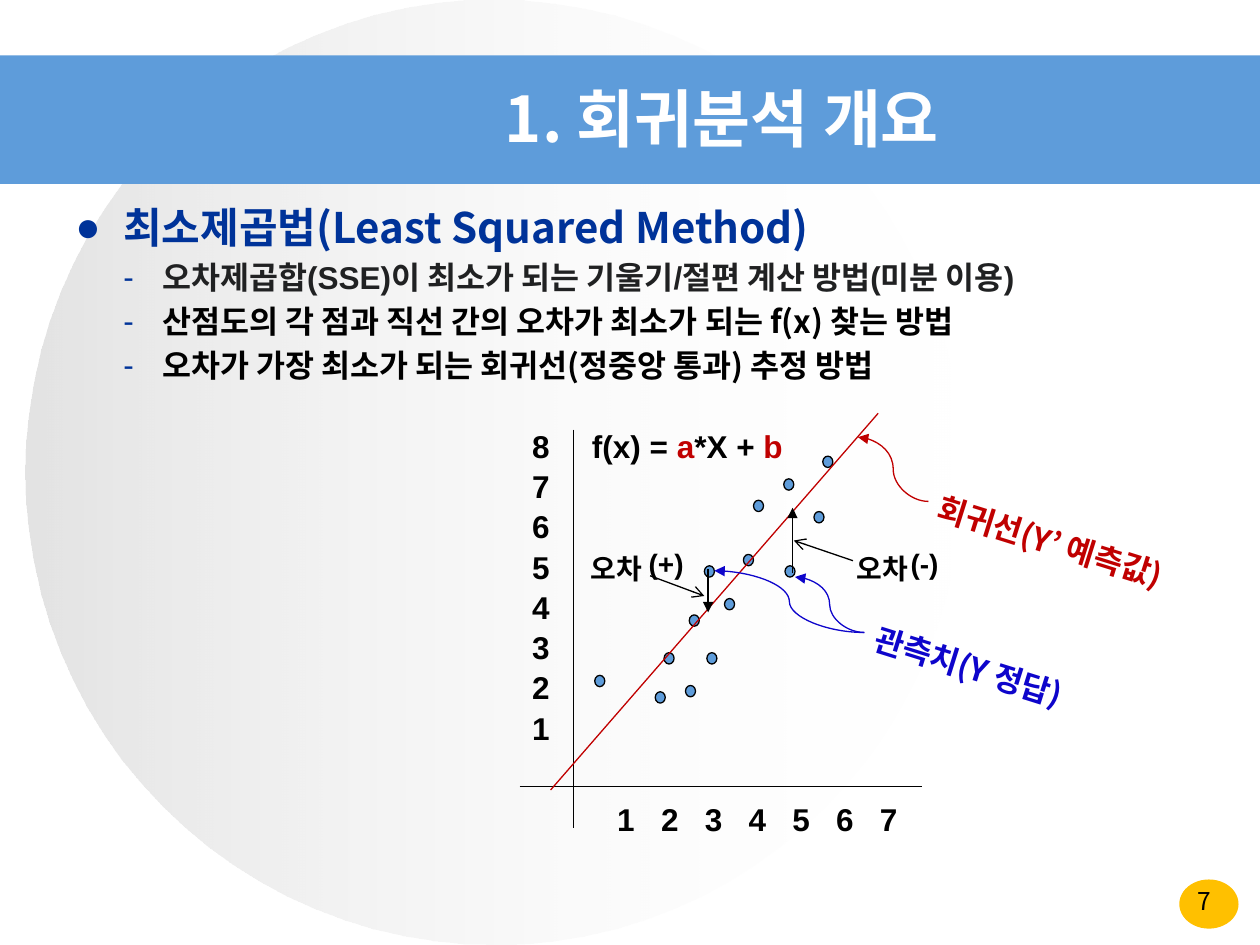
from lxml.etree import SubElement
from pptx import Presentation
from pptx.dml.color import RGBColor
from pptx.enum.shapes import MSO_CONNECTOR as LINK, MSO_SHAPE as SHAPE
from pptx.enum.text import MSO_ANCHOR, PP_ALIGN
from pptx.oxml.ns import qn
from pptx.util import Inches, Pt

HUES = {"blue": "5E9CDA", "navy": "003399", "ink": "000000", "dark": "202122",
        "red": "C00000", "link": "0E05CB", "gold": "FFC000", "white": "FFFFFF",
        "gray": "C0C0C0"}
CJK, SANS = "Noto Sans CJK KR", "Arial"
COLS, ROWS = 40, 30
CELL = 0.25


def cell(num):
    return Inches(num * CELL)


def place(box, left, top, wide, high):
    """Shift a cell area by the corner of a box."""
    return box[0] + left, box[1] + top, wide, high


def hue(name):
    return RGBColor.from_string(HUES[name])


def node(root, tag, **vals):
    return SubElement(root, qn(tag), {key: str(val) for key, val in vals.items()})


def shape(slide, kind, box, fill, line=None):
    item = slide.shapes.add_shape(kind, *map(cell, box))
    item.shadow.inherit = False
    item.fill.solid()
    item.fill.fore_color.rgb = hue(fill)
    if line:
        item.line.color.rgb = hue(line)
        item.line.width = Pt(0.75)
    else:
        item.line.fill.background()
    return item


def write(para, text, size=18, face=SANS, tint="ink", bold=True):
    run = para.add_run()
    run.text = text
    for key, val in {"size": Pt(size), "name": face, "bold": bold}.items():
        setattr(run.font, key, val)
    run.font.color.rgb = hue(tint)
    node(run.font._element, "a:ea", typeface=CJK)


def frame(slide, box, turn=0, **form):
    area = slide.shapes.add_textbox(*map(cell, box))
    area.rotation = turn
    for key, val in {"word_wrap": True, **form}.items():
        setattr(area.text_frame, key, val)
    return area.text_frame


def label(slide, box, text, turn=0, align=None, **form):
    para = frame(slide, box, turn).paragraphs[0]
    para.alignment = align
    write(para, text, **form)
    return para


def indent(para, left, hang):
    props = para._p.get_or_add_pPr()
    props.set("marL", str(Inches(left)))
    props.set("indent", str(-Inches(hang)))
    return props


def link(slide, box, ends, tint="ink", tip=None, kind=LINK.STRAIGHT):
    """Join two cell points of a box, with the tip at the second."""
    spots = [box[i % 2] + num for i, num in enumerate(ends)]
    line = slide.shapes.add_connector(kind, *map(cell, spots))
    line.line.color.rgb = hue(tint)
    line.line.width = Pt(0.75)
    if tip:
        node(line.line._get_or_add_ln(), "a:tailEnd", type=tip)
    node(line._element.spPr, "a:effectLst")


def backdrop(slide, box):
    disc = shape(slide, SHAPE.OVAL, place(box, 0.8, 0, 29.76, ROWS), "gray")
    disc.fill.gradient()
    disc.fill.gradient_angle = 0
    for stop, tint, alpha in zip(disc.fill.gradient_stops, ("gray", "white"), (44, 0)):
        stop.color.rgb = hue(tint)
        node(stop._gs[0], "a:alpha", val=alpha * 1000)


def header(slide, box):
    shape(slide, SHAPE.RECTANGLE, box, "blue")
    para = label(slide, place(box, 5.84, 0.56, 34.16, 3), "1. 회귀분석 개요",
                 align=PP_ALIGN.CENTER, size=36, face=CJK, tint="white")
    indent(para, 0.94, 0.94)


def points(slide, box):
    rows = [
        ("최소제곱법(Least Squared Method)", "●", 0.38, 0.38, 24, CJK, "navy"),
        ("오차제곱합(SSE)이 최소가 되는 기울기/절편 계산 방법(미분 이용)",
         "-", 0.69, 0.31, 18, SANS, "dark"),
        ("산점도의 각 점과 직선 간의 오차가 최소가 되는 f(x) 찾는 방법",
         "-", 0.69, 0.31, 18, CJK, "ink"),
        ("오차가 가장 최소가 되는 회귀선(정중앙 통과) 추정 방법",
         "-", 0.69, 0.31, 18, CJK, "ink")]
    body = frame(slide, box)
    for i, (text, mark, left, hang, size, face, tint) in enumerate(rows):
        para = body.add_paragraph() if i else body.paragraphs[0]
        para.space_before = Pt(3.6 if i else 0)
        props = indent(para, left, hang)
        node(node(props, "a:buClr"), "a:srgbClr", val=HUES["navy"])
        node(props, "a:buFont", typeface=SANS)
        node(props, "a:buChar", char=mark)
        write(para, text, size, face, tint)


def axes(slide, box):
    link(slide, box, (1.7, 0.64, 1.7, 13.28))
    link(slide, box, (0, 11.96, 12.78, 11.96))
    side = frame(slide, place(box, 0, 0.28, 1.88, 11.68))
    for num in range(8, 0, -1):
        para = side.paragraphs[0] if num == 8 else side.add_paragraph()
        para.line_spacing = Pt(23)
        write(para, str(num))
    base = frame(slide, place(box, 2.7, 12.2, 10.08, 1.76)).paragraphs[0]
    tabs = node(base._p.get_or_add_pPr(), "a:tabLst")
    for num in range(1, 7):
        node(tabs, "a:tab", pos=cell(1.39 * num), algn="l")
    write(base, "\t".join(map(str, range(1, 8))))


def plot(slide, box):
    axes(slide, box)
    rule = frame(slide, place(box, 1.86, 0.36, 7.2, 1.76), word_wrap=False).paragraphs[0]
    rule.alignment = PP_ALIGN.CENTER
    for text, tint in (("f(x) = ", "ink"), ("a", "red"), ("*X + ", "ink"), ("b ", "red")):
        write(rule, text, tint=tint)
    dots = [(2.38, 8.44), (4.3, 8.96), (4.58, 7.72), (5.26, 8.76), (5.38, 6.52),
            (5.86, 4.96), (5.94, 7.72), (6.5, 6), (7.1, 4.6), (7.42, 2.88),
            (8.38, 2.2), (8.42, 4.96), (9.34, 3.24), (9.62, 1.48)]
    for left, top in dots:
        shape(slide, SHAPE.OVAL, place(box, left, top, 0.32, 0.36), "blue", "ink")
    link(slide, box, (11.38, 0.12, 0.98, 12.08), "red")
    notes(slide, box)


def notes(slide, box):
    """Name the line, the observed points and the errors."""
    for ends, tint in (((12.98, 2.92, 10.74, 0.88), "red"),
                       ((10.94, 7.08, 8.74, 5.32), "link"),
                       ((10.94, 7.08, 6.18, 5.12), "link")):
        link(slide, box, ends, tint, "triangle", LINK.CURVE)
    for ends, tip in (((8.66, 5.2, 8.66, 3.12), "triangle"),
                      ((5.98, 5.08, 5.98, 6.44), "triangle"),
                      ((10.58, 4.8, 8.7, 4.16), "arrow"),
                      ((4.14, 5.28, 5.86, 5.92), "arrow")):
        link(slide, box, ends, tip=tip)
    for area, text, tint in (((12.7, 3.56, 9.36, 1.76), "회귀선(Y’ 예측값)", "red"),
                             ((10.74, 7.48, 7.8, 1.76), "관측치(Y 정답)", "link")):
        label(slide, place(box, *area), text, turn=17.4, face=CJK, tint=tint)
    for area, text in (((10.3, 4.32, 4.48, 1.64), "오차"),
                       ((1.86, 4.32, 2.84, 1.64), "오차"),
                       ((12.02, 4.16, 2.12, 1.48), "(-)"),
                       ((3.7, 4.16, 1.92, 1.48), "(+)")):
        label(slide, place(box, *area), text, size=16)


def badge(slide, box):
    shape(slide, SHAPE.OVAL, place(box, 0.96, 0, 1.88, 1.56), "gold")
    para = label(slide, place(box, 0, 0, 3.52, 1.16), "7", align=PP_ALIGN.CENTER,
                 size=14, face=CJK, bold=False)
    para.font.size = Pt(14)


def main():
    deck = Presentation()
    deck.slide_width, deck.slide_height = cell(COLS), cell(ROWS)
    slide = deck.slides.add_slide(deck.slide_layouts[6])
    backdrop(slide, (0, 0, COLS, ROWS))
    header(slide, (0, 1.76, COLS, 4.08))
    points(slide, (2, 6.2, 36.16, 20.32))
    plot(slide, (16.5, 13, 22, 14))
    badge(slide, (36.48, 27.92, 3.52, 1.56))
    deck.save("out.pptx")


if __name__ == "__main__":
    main()
